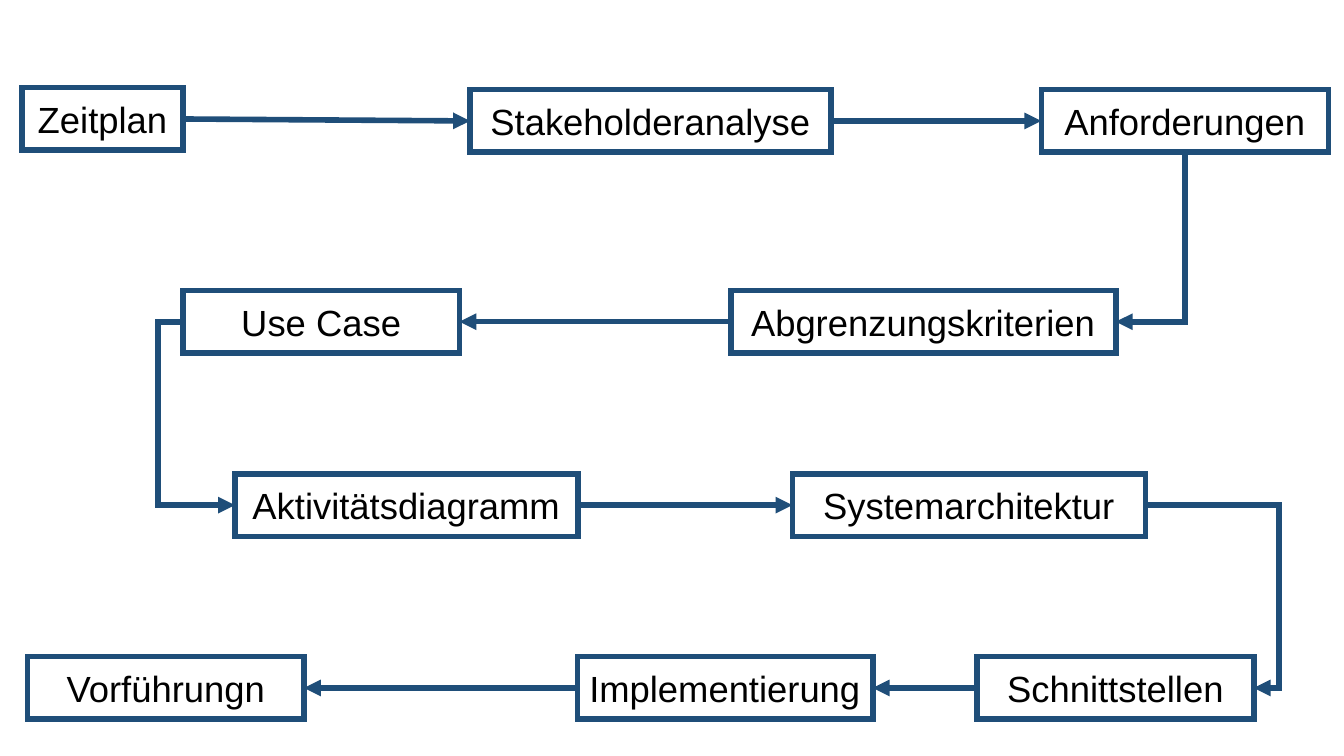
from lxml import etree
from pptx import Presentation
from pptx.dml.color import RGBColor
from pptx.enum.shapes import MSO_CONNECTOR, MSO_SHAPE
from pptx.enum.text import MSO_ANCHOR, PP_ALIGN
from pptx.oxml.ns import qn
from pptx.util import Pt

RECTANGLE = MSO_SHAPE.RECTANGLE
STRAIGHT = MSO_CONNECTOR.STRAIGHT
ELBOW = MSO_CONNECTOR.ELBOW
MIDDLE = MSO_ANCHOR.MIDDLE
CENTER = PP_ALIGN.CENTER

COLORS = {"border": "1F4E79", "fill": "FFFFFF", "text": "000000"}
FONT = {"name": "Arial", "size": Pt(26)}
FRAME = {"word_wrap": True, "vertical_anchor": MIDDLE}
LINE_WIDTH = Pt(4)
BOX_HEIGHT = Pt(44.8)
DETOUR = Pt(18)
LEFT_SITE, RIGHT_SITE = 1, 3

STEPS = [
    ("Zeitplan", 15.7, 62.6, 115.2),
    ("Stakeholderanalyse", 335.7, 64, 258),
    ("Anforderungen", 743.8, 64, 205.2),
    ("Abgrenzungskriterien", 522, 207.4, 275),
    ("Use Case", 130.8, 207.4, 197.4),
    ("Aktivitätsdiagramm", 167.8, 338.4, 245),
    ("Systemarchitektur", 566, 338.4, 252.4),
    ("Schnittstellen", 698, 469, 197.6),
    ("Implementierung", 412.4, 469, 211),
    ("Vorführungn", 19.8, 469, 197.4),
]
STRAIGHT_LINKS = [
    ("Zeitplan", "Stakeholderanalyse"),
    ("Stakeholderanalyse", "Anforderungen"),
    ("Abgrenzungskriterien", "Use Case"),
    ("Aktivitätsdiagramm", "Systemarchitektur"),
    ("Schnittstellen", "Implementierung"),
    ("Implementierung", "Vorführungn"),
]


def color(name):
    return RGBColor.from_string(COLORS[name])


def set_values(target, values):
    for name, value in values.items():
        setattr(target, name, value)


def style_line(shape):
    shape.line.color.rgb = color("border")
    shape.line.width = LINE_WIDTH
    outline = shape._element.spPr.find(qn("a:ln"))
    etree.SubElement(outline, qn("a:miter"), lim="800000")
    return outline


def add_step(page, text, left, top, width):
    box = page.shapes.add_shape(RECTANGLE, Pt(left), Pt(top), Pt(width), BOX_HEIGHT)
    box.shadow.inherit = False
    box.fill.solid()
    box.fill.fore_color.rgb = color("fill")
    style_line(box)
    set_values(box.text_frame, FRAME)
    para = box.text_frame.paragraphs[0]
    para.alignment = CENTER
    span = para.add_run()
    span.text = text
    set_values(span.font, FONT)
    span.font.color.rgb = color("text")
    return box


def add_arrow(page, kind, start, end):
    arrow = page.shapes.add_connector(kind, *start, *end)
    outline = style_line(arrow)
    etree.SubElement(outline, qn("a:tailEnd"), type="triangle")
    etree.SubElement(arrow._element.spPr, qn("a:effectLst"))
    return arrow


def middle_left(box):
    return box.left, box.top + box.height // 2


def middle_right(box):
    return box.left + box.width, box.top + box.height // 2


def link_straight(page, source, target):
    if source.left < target.left:
        start, end = middle_right(source), middle_left(target)
        sites = RIGHT_SITE, LEFT_SITE
    else:
        start, end = middle_left(source), middle_right(target)
        sites = LEFT_SITE, RIGHT_SITE
    arrow = add_arrow(page, STRAIGHT, start, end)
    arrow.begin_connect(source, sites[0])
    arrow.end_connect(target, sites[1])


def link_around(page, start, end, bend):
    arrow = add_arrow(page, ELBOW, start, end)
    share = round((bend - start[0]) / (end[0] - start[0]) * 100000)
    guides = arrow._element.spPr.find(qn("a:prstGeom")).get_or_add_avLst()
    etree.SubElement(guides, qn("a:gd"), name="adj1", fmla=f"val {share}")


def link_down_left(page, source, target):
    start = source.left + source.width // 2, source.top + source.height
    end = middle_right(target)
    length, depth = end[1] - start[1], start[0] - end[0]
    left = (start[0] + end[0] - length) // 2
    top = (start[1] + end[1] - depth) // 2
    arrow = add_arrow(page, ELBOW, (left, top), (left + length, top + depth))
    properties = arrow._element.spPr
    properties.find(qn("a:xfrm")).set("rot", "5400000")
    properties.find(qn("a:prstGeom")).set("prst", "bentConnector2")


def main():
    deck = Presentation()
    deck.slide_width, deck.slide_height = Pt(960), Pt(540)
    page = deck.slides.add_slide(deck.slide_layouts[6])
    boxes = {step[0]: add_step(page, *step) for step in STEPS}
    for source, target in STRAIGHT_LINKS:
        link_straight(page, boxes[source], boxes[target])
    link_down_left(page, boxes["Anforderungen"], boxes["Abgrenzungskriterien"])
    start = middle_left(boxes["Use Case"])
    end = middle_left(boxes["Aktivitätsdiagramm"])
    link_around(page, start, end, min(start[0], end[0]) - DETOUR)
    start = middle_right(boxes["Systemarchitektur"])
    end = middle_right(boxes["Schnittstellen"])
    link_around(page, start, end, max(start[0], end[0]) + DETOUR)
    deck.save("out.pptx")


if __name__ == "__main__":
    main()
